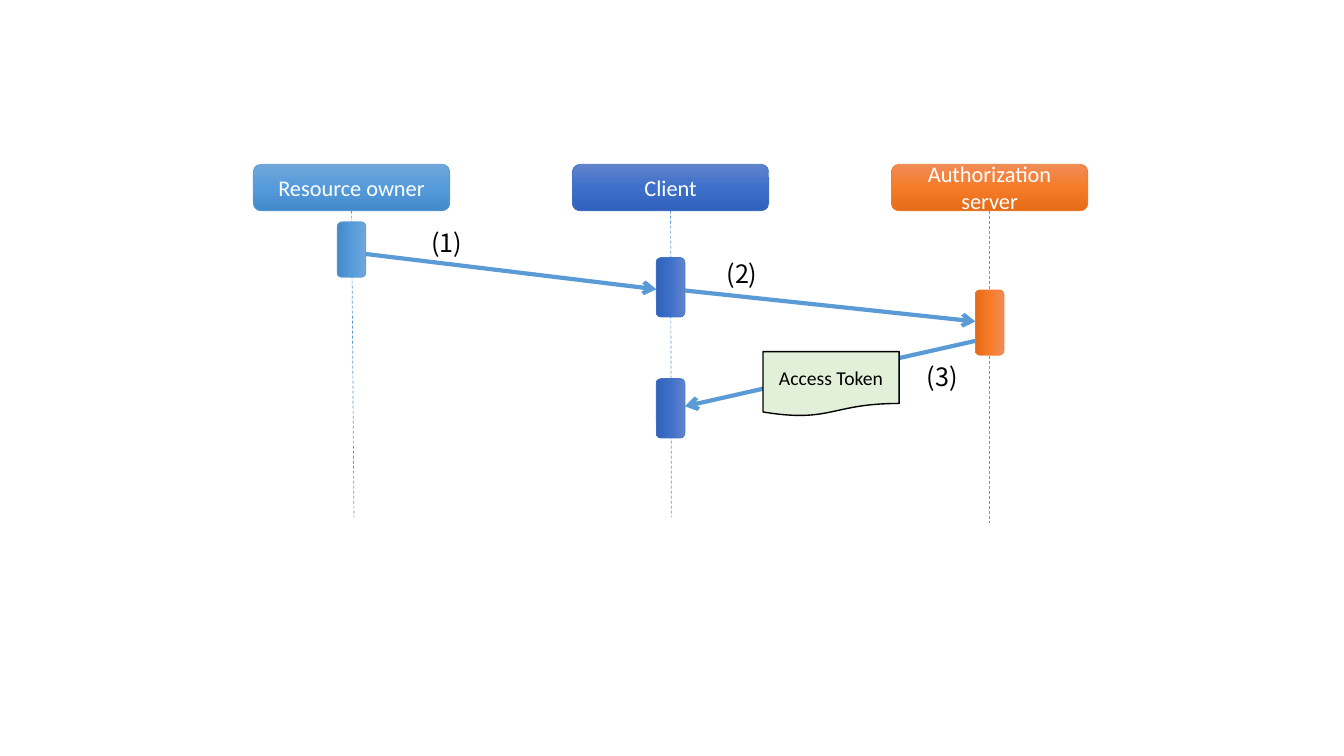
from copy import deepcopy
from dataclasses import dataclass

from lxml import etree
from pptx import Presentation
from pptx.dml.color import RGBColor
from pptx.enum.dml import MSO_LINE
from pptx.enum.shapes import MSO_CONNECTOR, MSO_SHAPE
from pptx.enum.text import MSO_ANCHOR, MSO_AUTO_SIZE, PP_ALIGN
from pptx.oxml.ns import qn
from pptx.util import Cm, Pt

ROUND = MSO_SHAPE.ROUNDED_RECTANGLE
PAPER = MSO_SHAPE.FLOWCHART_DOCUMENT
STRAIGHT = MSO_CONNECTOR.STRAIGHT
DASH = MSO_LINE.DASH
MIDDLE = MSO_ANCHOR.MIDDLE
CENTER = PP_ALIGN.CENTER
LEFT = PP_ALIGN.LEFT
GROW = MSO_AUTO_SIZE.SHAPE_TO_FIT_TEXT


@dataclass(frozen=True)
class Theme:
    """Colours, line widths and type formats of the slide."""
    blue: tuple = ("71A6DB", "559BDB", "448ACA", "5B9BD5")
    navy: tuple = ("6183CB", "3E70CA", "3062BB", "4472C4")
    orange: tuple = ("F18C57", "F67B28", "E56C19", "ED7D31")
    link: str = "5B9BD5"
    leaf: str = "E2F0D9"
    black: str = "000000"
    white: str = "FFFFFF"
    thin: float = 0.5
    edge: float = 1
    thick: float = 3
    head: tuple = (("name", "Calibri"), ("size", Pt(16)))
    note: tuple = (("name", "Calibri"), ("size", Pt(14)))
    label: tuple = (("name", "Noto Sans CJK JP"), ("size", Pt(18)))


THEME = Theme()
LANES = (
    ("Resource owner", THEME.blue, 0.03, 8.89),
    ("Client", THEME.navy, 0.01, 8.89),
    ("Authorization server", THEME.orange, 0, 9.04),
)
BARS = ((0, 2.15, 1.4), (1, 3.1, 1.5), (2, 3.99, 1.65), (1, 6.15, 1.5))
CALLS = ((0, 2.26, 1, 3.15), (1, 3.18, 2, 3.96), (2, 4.45, 1, 6.1))
LABELS = (("(1)", 4.24, 1.47), ("(2)", 11.68, 2.24), ("(3)", 16.73, 4.83))
BAR = 0.72


def rgb(code):
    """Turn a hex code into a colour."""
    return RGBColor.from_string(code)


def write(shape, text, style, color, align):
    """Set one formatted paragraph in a shape."""
    frame = shape.text_frame
    frame.word_wrap = True
    para = frame.paragraphs[0]
    para.alignment = align
    run = para.add_run()
    run.text = text
    for key, value in dict(style).items():
        setattr(run.font, key, value)
    run.font.color.rgb = rgb(color)


def draw(slide, kind, box, edge, width):
    """Add an outlined shape without shadow."""
    shape = slide.shapes.add_shape(kind, *map(Cm, box))
    shape.shadow.inherit = False
    shape.line.color.rgb = rgb(edge)
    shape.line.width = Pt(width)
    shape.text_frame.vertical_anchor = MIDDLE
    return shape


def block(slide, box, tones):
    """Add a rounded block with a three-tone gradient."""
    *stops, edge = tones
    shape = draw(slide, ROUND, box, edge, THEME.thin)
    fill = shape.fill
    fill.gradient()
    fill.gradient_angle = 270
    first = next(shape._element.spPr.iter(qn("a:gs")))
    first.addnext(deepcopy(first))
    for i, stop in enumerate(fill.gradient_stops):
        stop.color.rgb = rgb(stops[i])
        stop.position = i / 2
    return shape


def join(slide, ends, width):
    """Add a plain line between two points."""
    line = slide.shapes.add_connector(STRAIGHT, *map(Cm, ends))
    line.line.color.rgb = rgb(THEME.link)
    line.line.width = Pt(width)
    etree.SubElement(line._element.spPr, qn("a:effectLst"))
    return line


def lanes(slide, box, axes):
    """Place the lifelines and their heads."""
    left, top, width, height = box
    wide, high = 4.95, 1.17
    for axis, (text, tones, drift, end) in zip(axes, LANES):
        ends = axis, top + high, axis + 2 * drift, top + end
        join(slide, ends, THEME.thin).line.dash_style = DASH
        head = block(slide, (axis - wide / 2, top, wide, high), tones)
        write(head, text, THEME.head, THEME.white, CENTER)


def bars(slide, box, axes):
    """Place the upright activity bars on the lanes."""
    for lane, mid, size in BARS:
        spot = axes[lane] - size / 2, box[1] + mid - BAR / 2, size, BAR
        block(slide, spot, LANES[lane][1]).rotation = 90


def calls(slide, box, axes):
    """Place the arrows, the token and the step labels."""
    left, top, width, height = box
    for src, start, dst, end in CALLS:
        gap = BAR / 2 if dst > src else -BAR / 2
        ends = axes[src] + gap, top + start, axes[dst] - gap, top + end
        arrow = join(slide, ends, THEME.thick)
        stroke = arrow._element.spPr.find(qn("a:ln"))
        etree.SubElement(stroke, qn("a:tailEnd"), type="arrow")
    spot = left + 12.85, top + 4.72, 3.43, 1.63
    token = draw(slide, PAPER, spot, THEME.black, THEME.edge)
    token.fill.solid()
    token.fill.fore_color.rgb = rgb(THEME.leaf)
    write(token, "Access Token", THEME.note, THEME.black, CENTER)
    for text, x, y in LABELS:
        spot = left + x, top + y, 1.57, 1.02
        label = slide.shapes.add_textbox(*map(Cm, spot))
        label.text_frame.auto_size = GROW
        write(label, text, THEME.label, THEME.black, LEFT)


def flow(slide, box):
    """Build the sequence diagram inside a box."""
    axes = [box[0] + 2.48 + 8.04 * i for i in range(len(LANES))]
    for part in (lanes, bars, calls):
        part(slide, box, axes)


def main():
    """Make the deck and save it."""
    deck = Presentation()
    deck.slide_width, deck.slide_height = Cm(33.87), Cm(19.05)
    slide = deck.slides.add_slide(deck.slide_layouts[6])
    flow(slide, (6.38, 4.14, 21.02, 9.04))
    deck.save("out.pptx")


if __name__ == "__main__":
    main()
